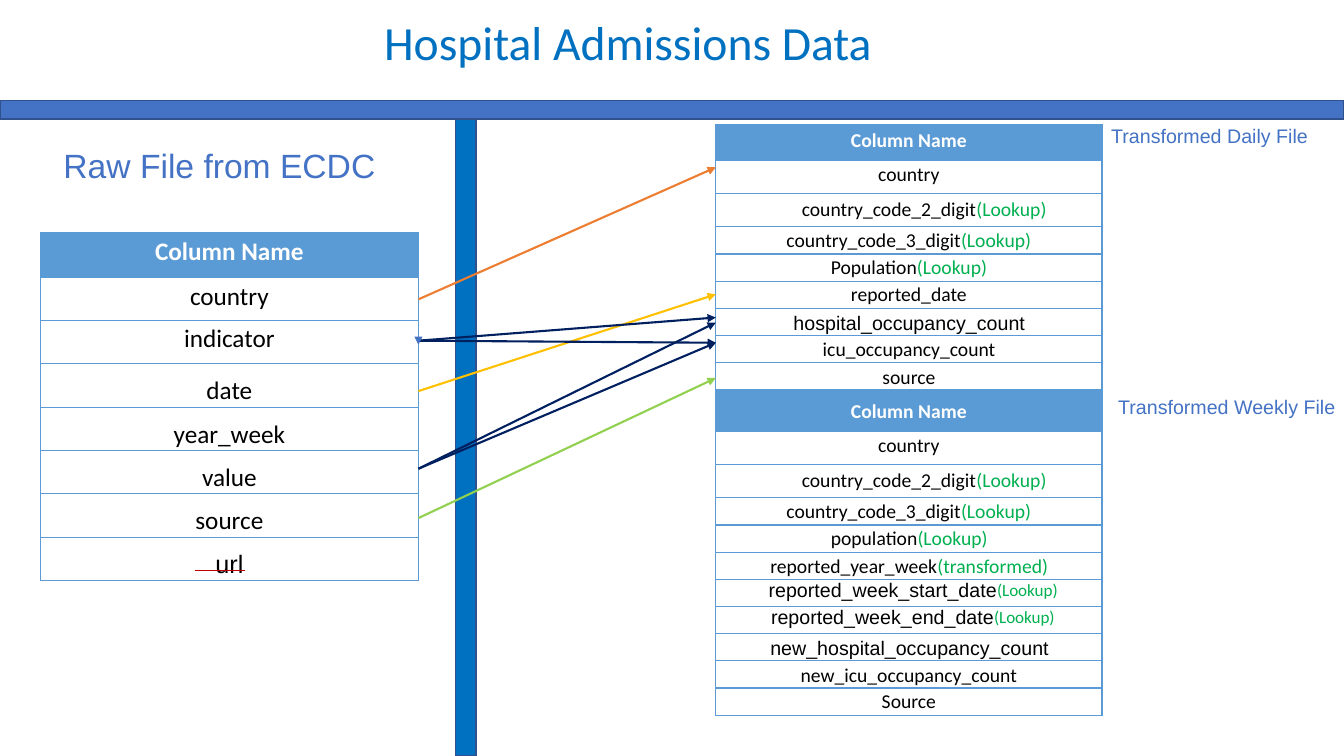
from dataclasses import dataclass
from typing import Any

from lxml import etree
from pptx import Presentation
from pptx.dml.color import RGBColor
from pptx.enum.shapes import MSO_CONNECTOR, MSO_SHAPE
from pptx.enum.text import MSO_ANCHOR, MSO_AUTO_SIZE, PP_ALIGN
from pptx.oxml.ns import qn
from pptx.util import Inches, Pt

RECTANGLE, MERGE = MSO_SHAPE.RECTANGLE, MSO_SHAPE.FLOWCHART_MERGE
STRAIGHT = MSO_CONNECTOR.STRAIGHT
TOP, MIDDLE = MSO_ANCHOR.TOP, MSO_ANCHOR.MIDDLE
NO_FIT = MSO_AUTO_SIZE.NONE
LEFT, CENTER, RIGHT = PP_ALIGN.LEFT, PP_ALIGN.CENTER, PP_ALIGN.RIGHT

COLORS = {
    "title": "0070C0", "accent": "4472C4", "outline": "2F528F",
    "header": "5B9BD5", "white": "FFFFFF", "black": "000000",
    "lookup": "00B050", "strike": "C00000", "orange": "ED7D31",
    "yellow": "FFC000", "navy": "002060", "green": "92D050",
}


@dataclass
class Row:
    text: str
    height: float
    top: float = 0.03
    note: str = ""
    align: Any = CENTER
    indent: float = 0
    font: str = "Calibri"
    line: float = 0
    raised: bool = False
    header: bool = False


@dataclass
class Label:
    text: str
    x: float
    y: float
    w: float
    h: float
    size: int


@dataclass
class Bar:
    x: float
    y: float
    w: float
    h: float
    color: str


@dataclass
class Arrow:
    y1: float
    y2: float
    color: str


def rgb(name: str) -> RGBColor:
    return RGBColor.from_string(COLORS[name])


def apply(obj: Any, values: dict[str, Any]) -> None:
    for name, value in values.items():
        setattr(obj, name, value)


def add_run(p: Any, text: str, font: str, size: float, color: str, bold: bool = False) -> Any:
    r = p.add_run()
    r.text = text
    apply(r.font, {"name": font, "size": Pt(size), "bold": bold})
    r.font.color.rgb = rgb(color)
    return r


def format_frame(tf: Any, anchor: Any) -> None:
    apply(tf, {"word_wrap": True, "auto_size": NO_FIT, "vertical_anchor": anchor,
               "margin_left": 0, "margin_right": 0, "margin_bottom": 0,
               "margin_top": Inches(0.01)})


def add_label(s: Any, label: Label) -> None:
    sp = s.shapes.add_textbox(*map(Inches, (label.x, label.y, label.w, label.h)))
    format_frame(sp.text_frame, TOP)
    add_run(sp.text_frame.paragraphs[0], label.text, "Arial", label.size, "accent")


def add_bar(s: Any, bar: Bar) -> None:
    sp = s.shapes.add_shape(RECTANGLE, *map(Inches, (bar.x, bar.y, bar.w, bar.h)))
    sp.shadow.inherit = False
    sp.fill.solid()
    sp.fill.fore_color.rgb = rgb(bar.color)
    sp.line.color.rgb = rgb("outline")
    sp.line.width = Pt(1)


def add_line(s: Any, ends: tuple[float, ...], color: str, width: float, arrow: bool) -> None:
    c = s.shapes.add_connector(STRAIGHT, *map(Inches, ends))
    c.line.color.rgb = rgb(color)
    c.line.width = Pt(width)
    sp_pr = c._element.spPr
    if arrow:
        etree.SubElement(sp_pr.find(qn("a:ln")), qn("a:tailEnd"), type="triangle")
    etree.SubElement(sp_pr, qn("a:effectLst"))


def add_borders(cell: Any) -> None:
    tc_pr = cell._tc.get_or_add_tcPr()
    for i, side in enumerate(("lnL", "lnR", "lnT", "lnB")):
        ln = etree.Element(qn(f"a:{side}"), w=str(Pt(1)))
        fill = etree.SubElement(ln, qn("a:solidFill"))
        etree.SubElement(fill, qn("a:srgbClr"), val=COLORS["header"])
        tc_pr.insert(i, ln)


def fill_cell(cell: Any, row: Row, size: int) -> None:
    apply(cell, {"margin_top": Inches(row.top), "margin_bottom": 0,
                 "margin_left": Inches(row.indent if row.align == LEFT else 0),
                 "margin_right": Inches(row.indent if row.align == RIGHT else 0),
                 "vertical_anchor": TOP})
    if row.header:
        cell.fill.solid()
        cell.fill.fore_color.rgb = rgb("header")
    else:
        cell.fill.background()
    add_borders(cell)
    p = cell.text_frame.paragraphs[0]
    p.alignment = row.align
    if row.line:
        p.line_spacing = Pt(row.line)
    if row.text:
        add_run(p, row.text, row.font, size, "white" if row.header else "black", row.header)
    else:
        p._p.get_or_add_endParaRPr().set("sz", "100")
    if row.note:
        r = add_run(p, row.note, "Calibri", 21 if row.raised else size, "lookup")
        if row.raised:
            r._r.get_or_add_rPr().set("baseline", "4000")


def add_column_table(s: Any, x: float, y: float, w: float, rows: list[Row], size: int) -> None:
    height = sum(row.height for row in rows)
    frame = s.shapes.add_table(len(rows), 1, *map(Inches, (x, y, w, height)))
    table = frame.table
    apply(table, {"first_row": False, "horz_banding": False})
    for i, row in enumerate(rows):
        table.rows[i].height = Inches(row.height)
        fill_cell(table.cell(i, 0), row, size)


def shared_rows(population: str) -> list[Row]:
    return [
        Row("Column Name", 0.35, 0.04, header=True),
        Row("country", 0.33),
        Row("country_code_2_digit", 0.33, 0.04, "(Lookup)", RIGHT, 0.55),
        Row("country_code_3_digit", 0.27, 0.02, "(Lookup)", LEFT, 0.7),
        Row(population, 0.27, 0.02, "(Lookup)", LEFT, 1.14),
    ]


RAW_ROWS = [Row("Column Name", 0.44, 0.04, header=True)] + [
    Row(name, 0.43, top, font=font, line=line)
    for name, top, font, line in (
        ("country", 0.04, "Calibri", 0), ("indicator", 0.03, "Calibri", 0),
        ("date", 0.12, "Calibri", 0), ("year_week", 0.12, "Calibri", 0),
        ("value", 0.12, "Calibri", 21.6), ("source", 0.12, "Calibri", 0),
        ("url", 0.13, "Arial", 20.6))
]
DAILY_ROWS = shared_rows("Population") + [
    Row("reported_date", 0.27, 0.02),
    Row("hospital_occupancy_count", 0.27, 0.04, "", LEFT, 0.77, "Arial", 15.8),
    Row("icu_occupancy_count", 0.27, 0.02, "", LEFT, 1.06),
    Row("source", 0.27, line=16.8),
]
WEEKLY_ROWS = shared_rows("population") + [
    Row("reported_year_week", 0.27, 0.03, "(transformed)", LEFT, 0.54, line=16.7),
    Row("reported_week_start_date", 0.27, 0.04, "(Lookup)", RIGHT, 0.44, "Arial", 15.8, True),
    Row("reported_week_end_date", 0.27, 0.04, "(Lookup)", RIGHT, 0.47, "Arial", 15.8, True),
    Row("new_hospital_occupancy_count", 0.27, 0.04, "", LEFT, 0.54, "Arial", 15.8),
    Row("new_icu_occupancy_count", 0.27, 0.03, "", LEFT, 0.84, line=16.7),
    Row("Source", 0.27, 0.02),
]
SEPARATOR = Row("", 0.06, 0, header=True)
BARS = [Bar(4.52, 1.18, 0.2, 6.32, "title"), Bar(0, 1, 13.33, 0.18, "accent")]
LABELS = [
    Label("Raw File from ECDC", 0.63, 1.43, 3.2, 0.43, 24),
    Label("Transformed Daily File", 11.02, 1.22, 2.05, 0.26, 14),
    Label("Transformed Weekly File", 11.09, 3.91, 2.23, 0.26, 14),
]
ARROWS = [
    Arrow(2.97, 1.66, "orange"), Arrow(3.88, 2.92, "yellow"),
    Arrow(3.38, 3.15, "navy"), Arrow(3.38, 3.4, "navy"),
    Arrow(4.65, 3.2, "navy"), Arrow(4.65, 3.4, "navy"),
    Arrow(5.14, 3.75, "green"),
]


def main() -> None:
    prs = Presentation()
    apply(prs, {"slide_width": Inches(13.33), "slide_height": Inches(7.5)})
    s = prs.slides.add_slide(prs.slide_layouts[5])

    title = s.shapes.title
    apply(title, {"left": Inches(3.81), "top": Inches(0.11),
                  "width": Inches(5.38), "height": Inches(0.59)})
    format_frame(title.text_frame, MIDDLE)
    p = title.text_frame.paragraphs[0]
    apply(p, {"alignment": LEFT, "line_spacing": 1.0})
    add_run(p, "Hospital Admissions Data", "Calibri", 34, "title")

    for bar in BARS:
        add_bar(s, bar)
    add_column_table(s, 0.4, 2.31, 3.75, RAW_ROWS, 18)
    add_column_table(s, 7.1, 1.24, 3.83, DAILY_ROWS + [SEPARATOR] + WEEKLY_ROWS, 14)
    for label in LABELS:
        add_label(s, label)
    add_line(s, (1.93, 5.66, 2.43, 5.66), "strike", 1.25, False)
    for arrow in ARROWS:
        add_line(s, (4.15, arrow.y1, 7.1, arrow.y2), arrow.color, 1.5, True)

    marker = s.shapes.add_shape(MERGE, *map(Inches, (4.11, 3.34, 0.08, 0.08)))
    marker.shadow.inherit = False
    marker.fill.solid()
    marker.fill.fore_color.rgb = rgb("accent")
    marker.line.fill.background()
    prs.save("out.pptx")


if __name__ == "__main__":
    main()
